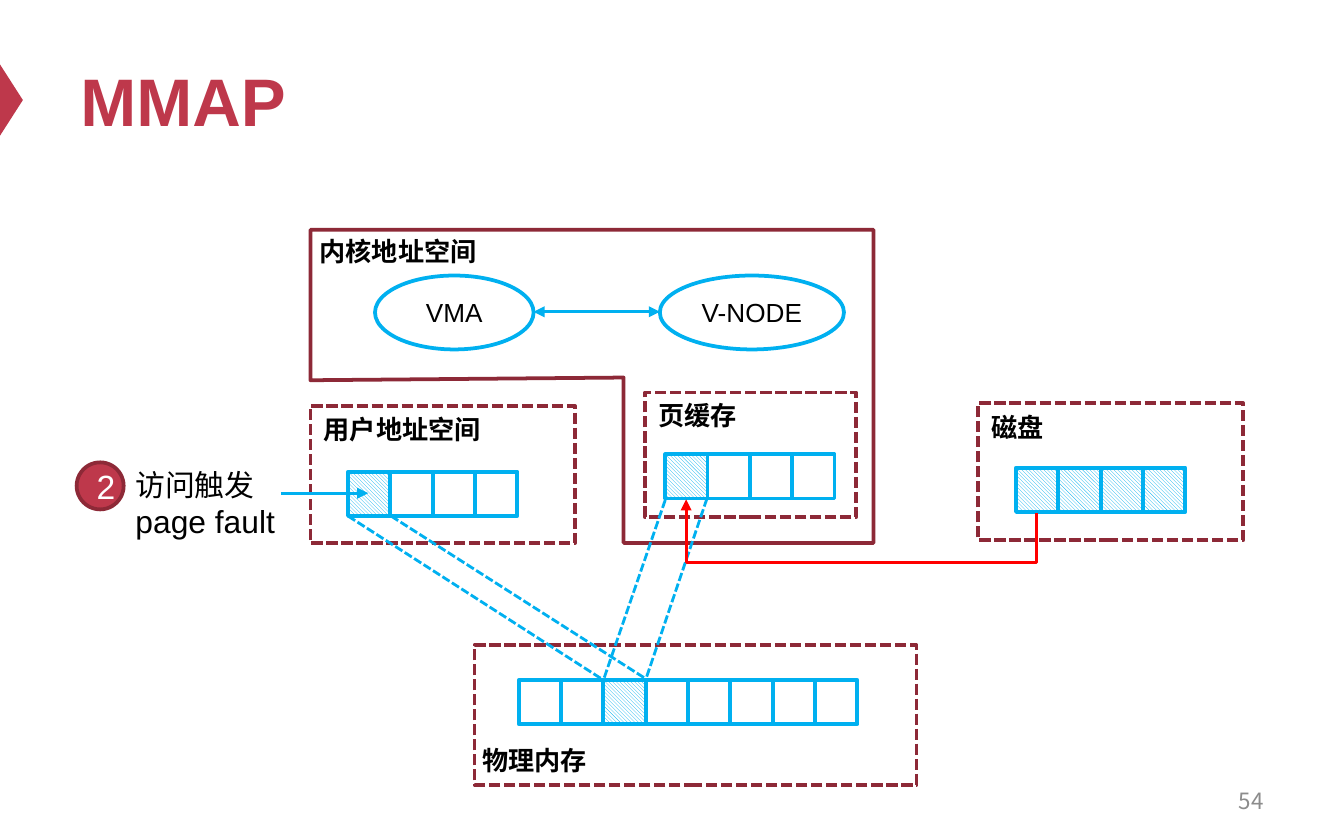
from dataclasses import dataclass
from typing import Any

from lxml.etree import SubElement
from pptx import Presentation
from pptx.dml.color import RGBColor
from pptx.enum.dml import MSO_LINE_DASH_STYLE as Dash, MSO_PATTERN_TYPE as Pattern
from pptx.enum.shapes import MSO_CONNECTOR_TYPE as Link, MSO_SHAPE as Kind
from pptx.enum.text import MSO_ANCHOR as Anchor, PP_ALIGN as Align
from pptx.oxml.ns import qn
from pptx.util import Inches, Pt

COLUMNS, ROWS = 100, 62.5
PAGE_WIDTH, PAGE_HEIGHT = Inches(10), Inches(6.25)
CELL_PITCH, CELL_HEIGHT = 3.15, 3.3
CRIMSON, MAROON, SKY, RED = "BE384B", "8D2937", "00B0F0", "FF0000"
BLACK, WHITE, GRAY = "000000", "FFFFFF", "8C8C8C"
LATIN, HAN = "Arial", "Noto Sans CJK SC"


@dataclass(frozen=True)
class Area:
    column: float
    row: float
    columns: float
    rows: float


@dataclass(frozen=True)
class Span:
    text: str
    size: float
    color: str = BLACK
    bold: bool = False
    font: str = LATIN


@dataclass(frozen=True)
class Memory:
    column: float
    row: float
    count: int
    mapped: tuple[int, ...]


@dataclass(frozen=True)
class Wire:
    start: tuple[float, float]
    end: tuple[float, float]
    color: str = SKY
    dashed: bool = False
    arrows: tuple[str, ...] = ()
    link: Any = Link.STRAIGHT


REGIONS = [
    Area(23.1, 30.2, 19.7, 10.2),
    Area(48, 29.2, 15.7, 9.3),
    Area(35.3, 48, 32.9, 10.4),
    Area(72.8, 30, 19.7, 10.2),
]
LABELS = {
    "用户地址空间": (23.1, 30.3),
    "内核地址空间": (22.8, 17),
    "页缓存": (48, 29.2),
    "物理内存": (34.9, 54.9),
    "磁盘": (72.8, 30.1),
}
MEMORIES = [
    Memory(49.5, 33.8, 4, (0,)),
    Memory(25.9, 35.1, 4, (0,)),
    Memory(38.6, 50.6, 8, (2,)),
    Memory(75.6, 34.8, 4, (0, 1, 2, 3)),
]
NODES = {"VMA": Area(27.9, 20.5, 11.8, 5.5), "V-NODE": Area(49.1, 20.5, 13.7, 5.5)}
KERNEL = [(23.1, 17.1), (65, 17.1), (65, 40.4), (46.4, 40.4), (46.4, 28.1), (23.1, 28.3)]
WIRES = [
    Wire((25.9, 38.4), (44.9, 50.6), dashed=True),
    Wire((29.1, 38.4), (48.2, 50.6), dashed=True),
    Wire((49.5, 37.2), (44.9, 50.6), dashed=True),
    Wire((52.6, 37.1), (48, 50.7), dashed=True),
    Wire((39.7, 23.2), (49.1, 23.2), arrows=("a:headEnd", "a:tailEnd")),
    Wire((20.9, 36.7), (27.4, 36.7), arrows=("a:tailEnd",)),
]


def rgb(value: str) -> RGBColor:
    return RGBColor.from_string(value)


def across(columns: float) -> int:
    return round(PAGE_WIDTH * columns / COLUMNS)


def down(rows: float) -> int:
    return round(PAGE_HEIGHT * rows / ROWS)


def place(area: Area) -> tuple[int, int, int, int]:
    return across(area.column), down(area.row), across(area.columns), down(area.rows)


def style_line(line: Any, color: str, width: float, dashed: bool = False) -> None:
    line.color.rgb = rgb(color)
    line.width = Pt(width)
    if dashed:
        line.dash_style = Dash.SQUARE_DOT


def write(box: Any, spans: list[Span], anchor: Any = Anchor.TOP, align: Any = Align.LEFT) -> None:
    frame = box.text_frame
    frame.word_wrap = True
    frame.vertical_anchor = anchor
    para = frame.paragraphs[0]
    para.alignment = align
    for span in spans:
        run = para.add_run()
        run.text = span.text
        values = {"size": Pt(span.size), "bold": span.bold, "name": span.font}
        for name, value in values.items():
            setattr(run.font, name, value)
        run.font.color.rgb = rgb(span.color)
        SubElement(run._r.get_or_add_rPr(), qn("a:ea"), typeface=HAN)


def add_text(page: Any, area: Area, spans: list[Span], **layout: Any) -> None:
    write(page.shapes.add_textbox(*place(area)), spans, **layout)


def add_figure(page: Any, kind: Any, area: Area, line: str = "", fill: str = "",
               dashed: bool = False) -> Any:
    shape = page.shapes.add_shape(kind, *place(area))
    shape.shadow.inherit = False
    if fill:
        shape.fill.solid()
        shape.fill.fore_color.rgb = rgb(fill)
    else:
        shape.fill.background()
    if line:
        style_line(shape.line, line, 2, dashed)
    else:
        shape.line.fill.background()
    return shape


def add_memory(page: Any, memory: Memory) -> None:
    for index in range(memory.count):
        column = memory.column + index * CELL_PITCH
        cell = add_figure(page, Kind.RECTANGLE, Area(column, memory.row, CELL_PITCH, CELL_HEIGHT), SKY)
        if index in memory.mapped:
            cell.fill.patterned()
            cell.fill.pattern = Pattern.DARK_DOWNWARD_DIAGONAL
            cell.fill.fore_color.rgb = rgb(SKY)
            cell.fill.back_color.rgb = rgb(WHITE)


def add_wire(page: Any, wire: Wire) -> Any:
    (left, top), (right, bottom) = wire.start, wire.end
    connector = page.shapes.add_connector(
        wire.link, across(left), down(top), across(right), down(bottom))
    style_line(connector.line, wire.color, 1.5, wire.dashed)
    for arrow in wire.arrows:
        SubElement(connector.line._get_or_add_ln(), qn(arrow), type="triangle")
    SubElement(connector._element.spPr, qn("a:effectLst"))
    return connector


def add_disk_read(page: Any) -> None:
    wire = Wire((64.6, 24.6), (63.6, 50.7), RED, arrows=("a:tailEnd",), link=Link.ELBOW)
    properties = add_wire(page, wire)._element.spPr
    properties.find(qn("a:xfrm")).set("rot", "5400000")
    geometry = properties.find(qn("a:prstGeom"))
    guides = geometry.find(qn("a:avLst"))
    if guides is None:
        guides = SubElement(geometry, qn("a:avLst"))
    SubElement(guides, qn("a:gd"), name="adj1", fmla="val -370900")


def add_kernel(page: Any) -> None:
    points = [(across(column), down(row)) for column, row in KERNEL]
    builder = page.shapes.build_freeform(*points[0])
    builder.add_line_segments(points[1:], close=True)
    outline = builder.convert_to_shape()
    outline.shadow.inherit = False
    outline.fill.background()
    style_line(outline.line, MAROON, 2)


def main() -> None:
    deck = Presentation()
    deck.slide_width, deck.slide_height = PAGE_WIDTH, PAGE_HEIGHT
    page = deck.slides.add_slide(deck.slide_layouts[6])
    add_figure(page, Kind.ISOSCELES_TRIANGLE, Area(-1.8, 6.6, 5.3, 1.7), fill=CRIMSON).rotation = 90
    add_text(page, Area(5, 2.5, 90, 9.8), [Span("MMAP", 36, CRIMSON, True)], anchor=Anchor.MIDDLE)
    add_text(page, Area(71.7, 57.9, 23.3, 3.3), [Span("54", 12, GRAY, font=HAN)],
             anchor=Anchor.MIDDLE, align=Align.RIGHT)
    for region in REGIONS:
        add_figure(page, Kind.RECTANGLE, region, MAROON, dashed=True)
    add_kernel(page)
    for label, (column, row) in LABELS.items():
        add_text(page, Area(column, row, 14.2, 3.4), [Span(label, 14, bold=True)])
    for memory in MEMORIES:
        add_memory(page, memory)
    for name, area in NODES.items():
        node = add_figure(page, Kind.OVAL, area, SKY)
        write(node, [Span(name, 14)], Anchor.MIDDLE, Align.CENTER)
    for wire in WIRES:
        add_wire(page, wire)
    add_text(page, Area(9.1, 34.2, 13.3, 6.6), [Span("访问触发 ", 16), Span("page fault", 17)])
    add_disk_read(page)
    step = add_figure(page, Kind.FLOWCHART_CONNECTOR, Area(5.7, 34.4, 3.5, 3.5), MAROON, CRIMSON)
    write(step, [Span("2", 18, WHITE)], Anchor.MIDDLE, Align.CENTER)
    deck.save("out.pptx")


if __name__ == "__main__":
    main()
